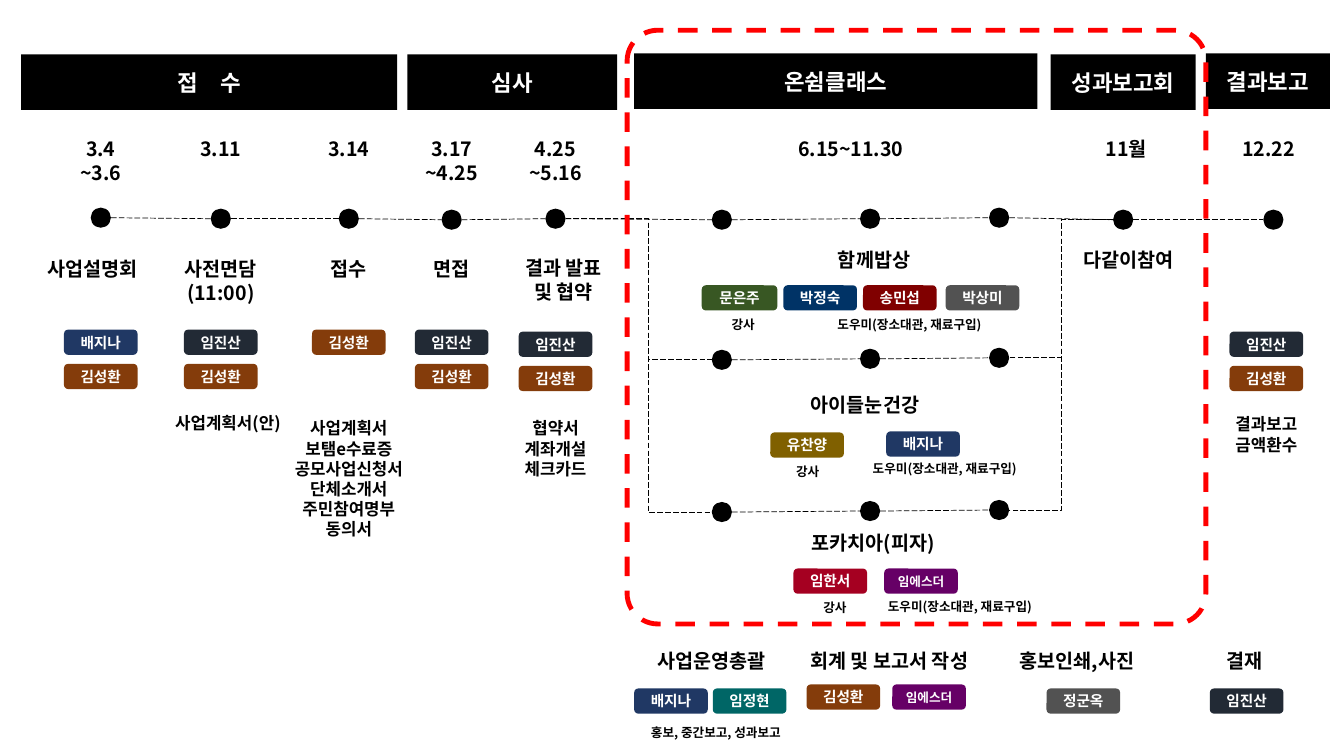
from dataclasses import dataclass
from itertools import pairwise
from lxml.etree import SubElement
from pptx import Presentation
from pptx.dml.color import RGBColor
from pptx.enum.dml import MSO_LINE as Dash
from pptx.enum.shapes import MSO_CONNECTOR as Link, MSO_SHAPE as Form
from pptx.enum.text import MSO_ANCHOR as Anchor, PP_ALIGN as Align
from pptx.oxml.ns import qn
from pptx.util import Inches, Pt


@dataclass(frozen=True)
class Theme:
    """Colours and type sizes."""
    font: str = "Noto Sans CJK KR"
    ink: str = "000000"
    paper: str = "FFFFFF"
    alert: str = "FF0000"
    head: float = 16
    title: float = 14
    body: float = 12
    tag: float = 10.5
    small: float = 9


THEME = Theme()
STAFF = {
    "배지나": "203864", "김성환": "843C0B", "임진산": "222A35", "문은주": "385723",
    "박정숙": "003366", "송민섭": "800000", "박상미": "525252", "유찬양": "806000",
    "임한서": "A50021", "임에스더": "660066", "정군옥": "525252", "임정현": "006666",
}
DOT, TAG_W, TAG_H = 0.2, 0.73, 0.25
HELP = "도우미(장소대관, 재료구입)"


def write(frame, text, size, color, align=Align.CENTER):
    """Put one styled paragraph in a text frame."""
    frame.word_wrap = True
    para = frame.paragraphs[0]
    para.text = text
    para.alignment = align
    font = para.font
    font.name, font.size, font.bold = THEME.font, Pt(size), True
    font.color.rgb = RGBColor.from_string(color)
    for run in para.runs:
        face = SubElement(run._r.get_or_add_rPr(), qn("a:ea"))
        face.set("typeface", THEME.font)


def block(slide, form, x, y, w, h, fill):
    """Add a filled shape with no outline."""
    shape = slide.shapes.add_shape(form, Inches(x), Inches(y), Inches(w), Inches(h))
    shape.shadow.inherit = False
    shape.fill.solid()
    shape.fill.fore_color.rgb = RGBColor.from_string(fill)
    shape.line.fill.background()
    return shape


def note(slide, mid, y, w, text, size=THEME.title, align=Align.CENTER):
    """Add a text box centred on mid."""
    h = size / 60 * len(text.split("\n")) + 0.1
    box = slide.shapes.add_textbox(Inches(mid - w / 2), Inches(y), Inches(w), Inches(h))
    write(box.text_frame, text, size, THEME.ink, align)


def label(slide, form, x, y, w, h, fill, text, size):
    """Add a filled shape with light text."""
    frame = block(slide, form, x, y, w, h, fill).text_frame
    frame.vertical_anchor = Anchor.MIDDLE
    write(frame, text, size, THEME.paper)


def tag(slide, x, y, name, w=TAG_W):
    """Add the name tag of a staff member."""
    size = THEME.small if len(name) > 3 else THEME.tag
    label(slide, Form.ROUNDED_RECTANGLE, x, y, w, TAG_H, STAFF[name], name, size)


def dot(slide, mid, y):
    """Add a timeline dot centred on a point."""
    block(slide, Form.OVAL, mid - DOT / 2, y - DOT / 2, DOT, DOT, THEME.ink)


def link(slide, start, end, kind=Link.STRAIGHT, bend=None):
    """Join the facing sides of two dots with a thin dashed line."""
    side = DOT / 2 if end[0] > start[0] else -DOT / 2
    line = slide.shapes.add_connector(
        kind, Inches(start[0] + side), Inches(start[1]),
        Inches(end[0] - side), Inches(end[1]))
    line.line.width = Pt(0.5)
    line.line.color.rgb = RGBColor.from_string(THEME.ink)
    line.line.dash_style = Dash.LONG_DASH
    props = line._element.spPr
    SubElement(props, qn("a:effectLst"))
    if bend:
        guides = props.find(qn("a:prstGeom")).get_or_add_avLst()
        SubElement(guides, qn("a:gd"), name="adj1", fmla=f"val {bend}")


def stage(slide, mid, y, date, title, staff=(), drop=1.96, papers=None):
    """Place date, title, staff and papers down one column."""
    for shift, top, w, text, *style in filter(None, (date, title, papers)):
        note(slide, mid + shift, y + top, w, text, *style)
    for row, name in enumerate(staff):
        tag(slide, mid - TAG_W / 2, y + drop + row * 0.34, name)


def lane(slide, x, y, title, staff, roles):
    """Place a class title, its tags and their roles below a row of dots."""
    note(slide, x + title[0], y + title[1], 1.6, title[2])
    for left, top, name, *width in staff:
        tag(slide, x + left, y + top, name, *width)
    for mid, top, w, text in roles:
        note(slide, x + mid, y + top, w, text, THEME.small)


def duty(slide, mid, y, w, title, drop, staff):
    """Place a duty title above its staff tags."""
    note(slide, mid, y, w, title)
    for left, name in staff:
        tag(slide, mid + left, y + drop, name)


def tracks(slide, line, rows):
    """Draw the main timeline and the class branches."""
    for point in line + sum(rows[1:], []):
        dot(slide, *point)
    for row in [line, *rows[1:]]:
        for start, end in pairwise(row):
            link(slide, start, end)
    fork, join = line[4], line[8]
    for row in rows[1:]:
        link(slide, fork, row[0], Link.ELBOW, 56500)
        link(slide, join, row[-1], Link.ELBOW)


def frame(slide, x, y, w, h):
    """Draw the dashed frame around the classes."""
    shape = slide.shapes.add_shape(
        Form.ROUNDED_RECTANGLE, Inches(x), Inches(y), Inches(w), Inches(h))
    shape.shadow.inherit = False
    shape.adjustments[0] = 0.053
    shape.fill.background()
    shape.line.color.rgb = RGBColor.from_string(THEME.alert)
    shape.line.width = Pt(3.5)
    shape.line.dash_style = Dash.DASH


def main():
    """Build and save the slide."""
    deck = Presentation()
    deck.slide_width, deck.slide_height = Inches(13.33), Inches(7.5)
    slide = deck.slides.add_slide(deck.slide_layouts[6])

    for x, y, w, text in [
            (0.21, 0.54, 3.73, "접　수"), (4.04, 0.54, 2.08, "심사"),
            (6.29, 0.53, 4, "온쉼클래스"), (10.42, 0.54, 1.44, "성과보고회"),
            (11.96, 0.53, 1.23, "결과보고")]:
        label(slide, Form.RECTANGLE, x, y, w, 0.55, THEME.ink, text, THEME.head)

    rows = [[(x, y - step * 0.01) for step, x in enumerate((7.16, 8.63, 9.91))]
            for y in (2.18, 3.57, 5.08)]
    line = [(1, 2.16), (2.19, 2.17), (3.46, 2.17), (4.48, 2.18), (5.51, 2.17),
            *rows[0], (11.14, 2.18), (12.63, 2.18)]
    tracks(slide, line, rows)

    pair, body = ("임진산", "김성환"), THEME.body
    files = "사업계획서\n보탬e수료증\n공모사업신청서\n단체소개서\n주민참여명부\n동의서"
    for mid, *parts in [
            (1, (0, 0, 0.64, "3.4\n~3.6"),
             (0, 1.19, 1.26, "사업설명회", THEME.title, Align.LEFT), ("배지나", "김성환")),
            (2.19, (0, 0, 0.64, "3.11"), (0, 1.19, 1.05, "사전면담\n(11:00)"), pair, 1.96,
             (0.07, 2.74, 1.35, "사업계획서(안)", body)),
            (3.46, (0, 0, 0.64, "3.14"), (0, 1.19, 0.75, "접수"), ("김성환",), 1.96,
             (0, 2.79, 1.52, files, body)),
            (4.48, (0, 0, 0.75, "3.17\n~4.25"), (0, 1.19, 0.75, "면접"), pair),
            (5.51, (0, 0, 0.75, "4.25\n~5.16"), (0.08, 1.18, 1.05, "결과 발표 및 협약"),
             pair, 1.98, (0, 2.79, 0.88, "협약서\n계좌개설\n체크카드", body)),
            (8.44, (0, 0, 1.6, "6.15~11.30"), None),
            (11.17, (0, 0, 0.64, "11월"), (0.02, 1.1, 1.2, "다같이참여")),
            (12.56, (0.02, 0, 0.75, "12.22"), None, pair, 1.98,
             (0, 2.75, 0.88, "결과보고\n금액환수", body))]:
        stage(slide, mid, 1.31, *parts)

    lanes = [
        ((1.51, 0.23, "함께밥상"),
         [(-0.2, 0.65, "문은주", 0.75), (0.61, 0.65, "박정숙"),
          (1.4, 0.65, "송민섭"), (2.22, 0.65, "박상미")],
         [(0.21, 0.91, 0.51, "강사"), (1.86, 0.91, 2.38, HELP)]),
        ((1.42, 0.28, "아이들눈건강"),
         [(0.48, 0.72, "유찬양"), (1.63, 0.71, "배지나")],
         [(0.85, 0.98, 0.51, "강사"), (2.21, 0.95, 1.85, HELP)]),
        ((1.5, 0.14, "포카치아(피자)"),
         [(0.71, 0.56, "임한서"), (1.61, 0.56, "임에스더")],
         [(1.12, 0.82, 0.51, "강사"), (2.36, 0.81, 1.8, HELP)])]
    for row, parts in zip(rows, lanes):
        lane(slide, *row[0], *parts)

    for mid, w, title, drop, staff in [
            (7.06, 1.45, "사업운영총괄", 0.44, [(-0.77, "배지나"), (0.01, "임정현")]),
            (8.82, 1.97, "회계 및 보고서 작성", 0.4, [(-0.82, "김성환"), (0.03, "임에스더")]),
            (10.68, 1.59, "홍보인쇄,사진", 0.44, [(-0.3, "정군옥")]),
            (12.34, 0.83, "결재", 0.44, [(-0.34, "임진산")])]:
        duty(slide, mid, 6.39, w, title, drop, staff)
    note(slide, 7.1, 7.14, 1.63, "홍보, 중간보고, 성과보고", THEME.small)
    frame(slide, 6.22, 0.3, 5.74, 5.89)
    deck.save("out.pptx")


if __name__ == "__main__":
    main()
